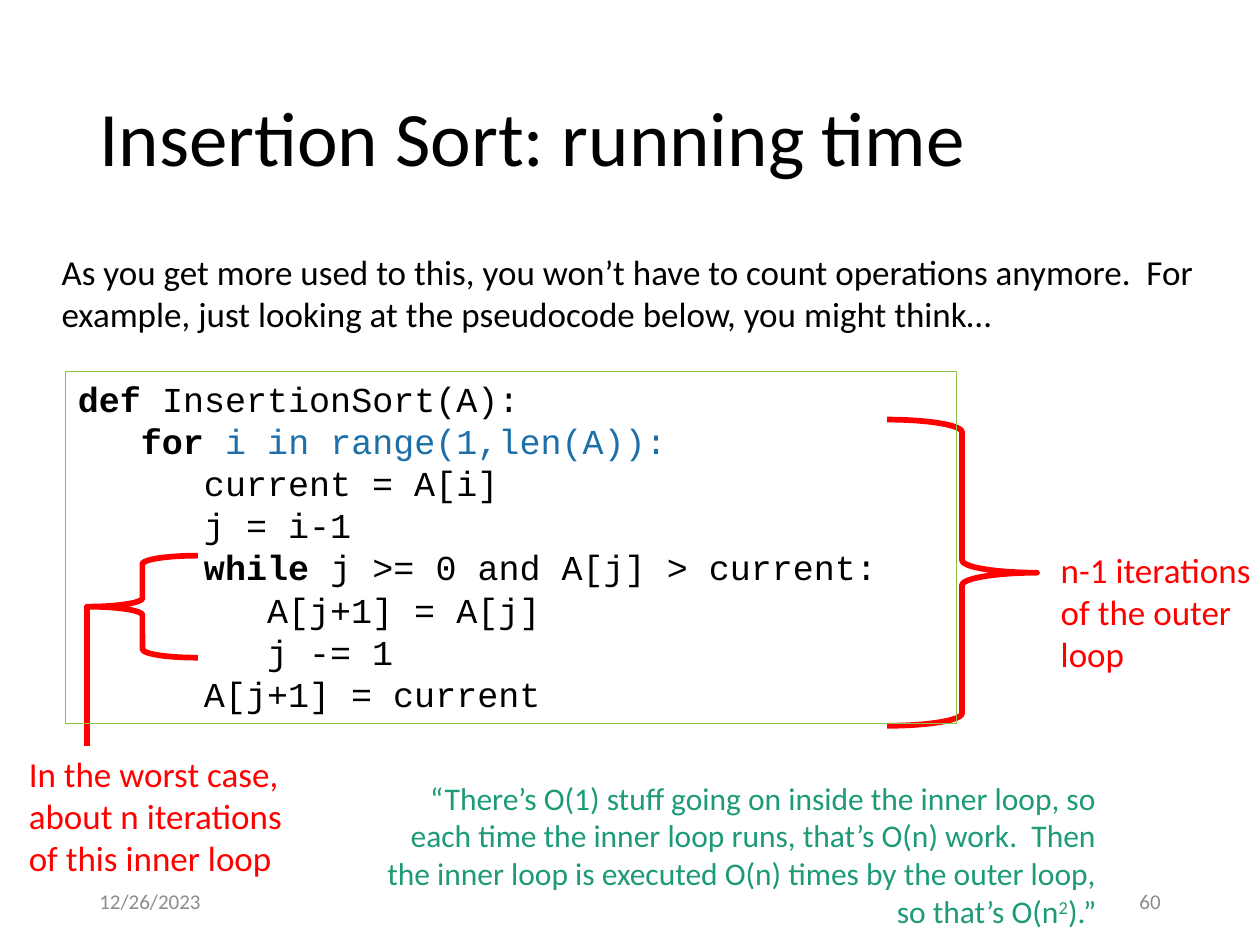
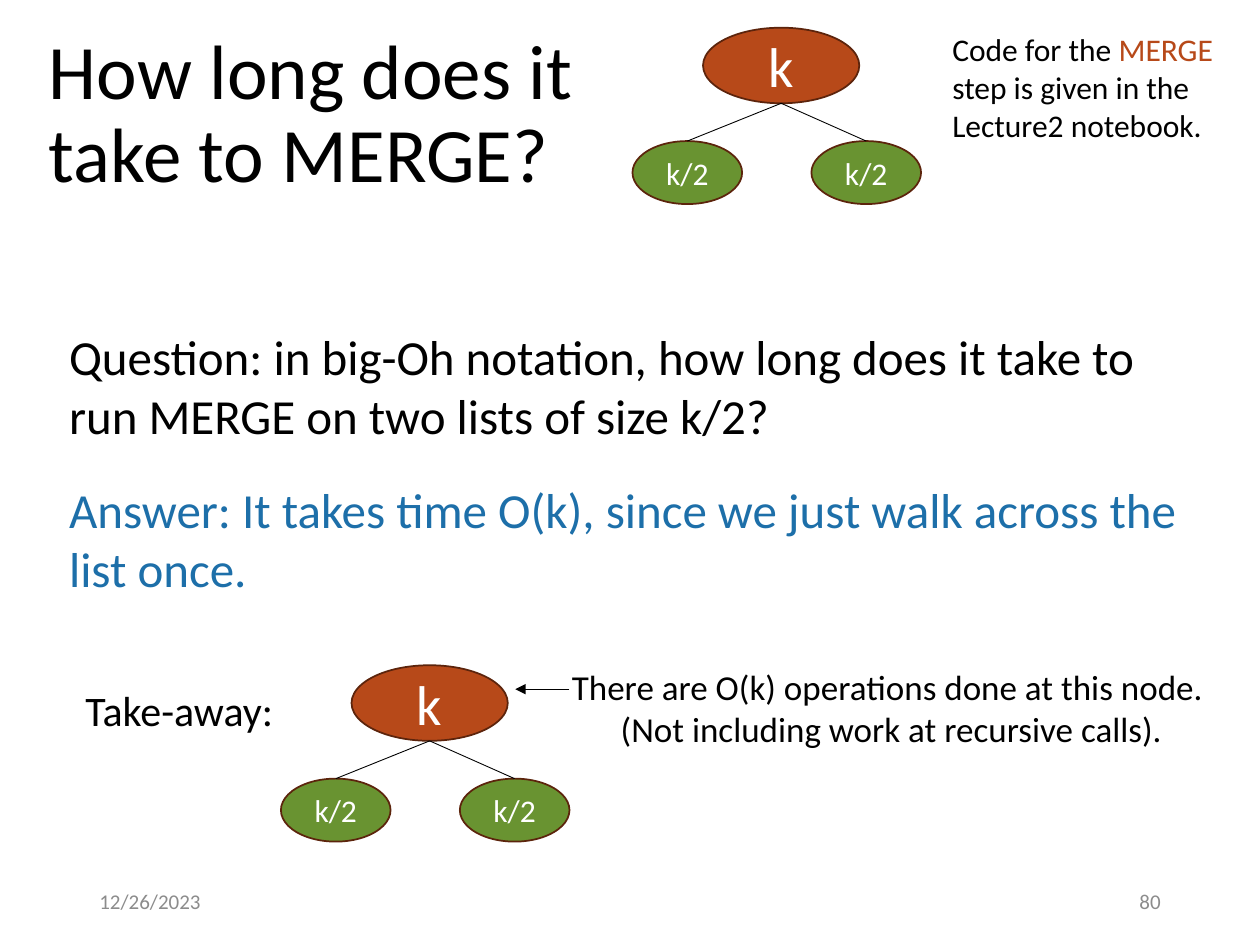
"""Build two lecture slides on the running time of insertion sort and merge."""
from dataclasses import dataclass
from typing import Any, NamedTuple, Optional, Sequence

from lxml import etree
from pptx import Presentation
from pptx.dml.color import RGBColor
from pptx.enum.shapes import MSO_CONNECTOR, MSO_SHAPE
from pptx.enum.text import MSO_ANCHOR, PP_ALIGN
from pptx.oxml.ns import qn
from pptx.util import Pt

PX = 9144
BLANK_LAYOUT = 6
TOP_SITE = 0
LEFT, CENTER, RIGHT = PP_ALIGN.LEFT, PP_ALIGN.CENTER, PP_ALIGN.RIGHT
TOP, MIDDLE = MSO_ANCHOR.TOP, MSO_ANCHOR.MIDDLE
RECTANGLE, ELLIPSE, BRACE = MSO_SHAPE.RECTANGLE, MSO_SHAPE.OVAL, MSO_SHAPE.LEFT_BRACE
STRAIGHT = MSO_CONNECTOR.STRAIGHT


@dataclass(frozen=True)
class Theme:
    body_font: str = "Calibri"
    code_font: str = "Courier New"
    black: str = "000000"
    white: str = "FFFFFF"
    red: str = "FF0000"
    blue: str = "1D6FA9"
    teal: str = "1D9A78"
    gray: str = "8C8C8C"
    rust: str = "B74919"
    green: str = "699331"
    code_border: str = "8BC145"
    node_border: str = "5C240C"
    title_size: int = 44
    root_size: int = 32
    question_size: int = 28
    lead_size: int = 24
    body_size: int = 20
    note_size: int = 18
    footer_size: int = 12
    title_spacing: float = 0.9
    brace_width: float = 3.25
    node_width: float = 1
    code_width: float = 0.75
    thin_width: float = 0.5


THEME = Theme()


class Box(NamedTuple):
    left: int
    top: int
    width: int
    height: int

    def emu(self) -> list[int]:
        return [value * PX for value in self]


class Point(NamedTuple):
    x: int
    y: int


class Span(NamedTuple):
    text: str
    color: Optional[str] = None
    bold: bool = False
    superscript: bool = False


class TextStyle(NamedTuple):
    size: int = THEME.body_size
    color: str = THEME.black
    align: Any = LEFT
    anchor: Any = TOP
    font: str = THEME.body_font
    spacing: float = 1.0


class Label(NamedTuple):
    box: Box
    spans: Sequence[Span]
    style: TextStyle = TextStyle()


class Node(NamedTuple):
    offset: Point
    width: int
    height: int
    text: str
    fill: str
    size: int


class Brace(NamedTuple):
    box: Box
    rotation: int


TITLE = TextStyle(THEME.title_size, anchor=MIDDLE, spacing=THEME.title_spacing)
CODE = TextStyle(font=THEME.code_font)
CALLOUT = TextStyle(color=THEME.red)
QUOTE = TextStyle(THEME.note_size, THEME.teal, RIGHT)
NOTE = TextStyle(THEME.note_size)
FOOTER = TextStyle(THEME.footer_size, THEME.gray, anchor=MIDDLE)

DATE = "12/26/2023"
DATE_BOX = Box(69, 695, 225, 40)
NUMBER_BOX = Box(706, 695, 225, 40)

CODE_BOX = Box(52, 295, 707, 279)
CODE_LINES = (
    (Span("def ", bold=True), Span("InsertionSort(A):")),
    (Span("   for ", bold=True), Span("i in range(1,len(A)):", THEME.blue)),
    (Span("      current = A[i]"),),
    (Span("      j = i-1"),),
    (Span("      while ", bold=True), Span("j >= 0 and A[j] > current:")),
    (Span("         A[j+1] = A[j]"),),
    (Span("         j -= 1"),),
    (Span("      A[j+1] = current"),),
)
OUTER_BRACE = Brace(Box(704, 333, 119, 243), 180)
INNER_BRACE = Brace(Box(69, 441, 88, 81), 0)
INNER_STEM = (Point(69, 481), Point(69, 592))

SORT_LABELS = (
    Label(Box(69, 40, 862, 145), [Span("Insertion Sort: running time")], TITLE),
    Label(Box(832, 430, 198, 111), [Span("n-1 iterations of the outer loop")], CALLOUT),
    Label(Box(13, 592, 242, 111),
          [Span("In the worst case, about n iterations of this inner loop")], CALLOUT),
    Label(Box(39, 194, 935, 77),
          [Span("As you get more used to this, you won’t have to count operations "
                "anymore.  For example, just looking at the pseudocode below, "
                "you might think…")]),
    Label(Box(296, 613, 584, 131),
          [Span("“There’s O(1) stuff going on inside the inner loop, so each time "
                "the inner loop runs, that’s O(n) work.  Then the inner loop is "
                "executed O(n) times by the outer loop, so that’s O(n"),
           Span("2", superscript=True), Span(").”")], QUOTE),
)

ROOT = Node(Point(0, 0), 124, 60, "k", THEME.rust, THEME.root_size)
CHILDREN = [Node(Point(x, 90), 87, 50, "k/2", THEME.green, THEME.note_size)
            for x in (-56, 86)]
TREE_ORIGINS = (Point(558, 22), Point(279, 528))
NODE_ARROW = (Point(452, 547), Point(409, 547))

MERGE_LABELS = (
    Label(Box(29, 0, 537, 184), [Span("How long does it take to MERGE?")], TITLE),
    Label(Box(746, 19, 230, 101),
          [Span("Code for the "), Span("MERGE", THEME.rust),
           Span(" step is given in the Lecture2 notebook.")], NOTE),
    Label(Box(45, 254, 925, 104),
          [Span("Question: in big-Oh notation, how long does it take to run MERGE "
                "on two lists of size k/2?")], TextStyle(THEME.question_size)),
    Label(Box(45, 376, 910, 104),
          [Span("Answer: It takes time O(k), since we just walk across the list once.")],
          TextStyle(THEME.question_size, THEME.blue)),
    Label(Box(439, 523, 537, 77),
          [Span("There are O(k) operations done at this node.  "
                "(Not including work at recursive calls).")], TextStyle(align=CENTER)),
    Label(Box(58, 538, 334, 50), [Span("Take-away:")], TextStyle(THEME.lead_size)),
)


def write_text(shape: Any, lines: Sequence[Sequence[Span]], style: TextStyle) -> None:
    """Fill a shape with lines of spans in one style."""
    frame = shape.text_frame
    frame.text = "\n".join(spans[0].text for spans in lines)
    frame.word_wrap = True
    frame.vertical_anchor = style.anchor
    for paragraph, spans in zip(frame.paragraphs, lines):
        paragraph.alignment = style.align
        paragraph.line_spacing = style.spacing
        for span in spans[1:]:
            paragraph.add_run().text = span.text
        for run, span in zip(paragraph.runs, spans):
            run.font.name = style.font
            run.font.size = Pt(style.size)
            run.font.bold = span.bold
            run.font.color.rgb = RGBColor.from_string(span.color or style.color)
            if span.superscript:
                run.font._element.set("baseline", "30000")


def add_label(slide: Any, label: Label) -> None:
    """Add a wrapped text box."""
    shape = slide.shapes.add_textbox(*label.box.emu())
    write_text(shape, [label.spans], label.style)


def add_outline(shapes: Any, kind: Any, box: Box, color: str, width: float,
                fill: Optional[str] = None) -> Any:
    """Add a preset shape with a coloured line and an optional fill."""
    shape = shapes.add_shape(kind, *box.emu())
    shape.shadow.inherit = False
    shape.line.color.rgb = RGBColor.from_string(color)
    shape.line.width = Pt(width)
    if fill:
        shape.fill.solid()
        shape.fill.fore_color.rgb = RGBColor.from_string(fill)
    else:
        shape.fill.background()
    return shape


def add_line(shapes: Any, start: Point, end: Point, color: str, width: float,
             arrow: bool = False) -> Any:
    """Add a straight connector, with an arrowhead at its end if asked."""
    line = shapes.add_connector(STRAIGHT, *(value * PX for value in (*start, *end)))
    line.line.color.rgb = RGBColor.from_string(color)
    line.line.width = Pt(width)
    properties = line._element.spPr
    if arrow:
        etree.SubElement(properties.find(qn("a:ln")), qn("a:tailEnd"), type="triangle")
    etree.SubElement(properties, qn("a:effectLst"))
    return line


def add_brace(slide: Any, brace: Brace) -> None:
    """Add a red brace around a loop."""
    shape = add_outline(slide.shapes, BRACE, brace.box, THEME.red, THEME.brace_width)
    shape.rotation = brace.rotation


def add_node(shapes: Any, origin: Point, node: Node) -> Any:
    """Add one ellipse of a recursion tree."""
    box = Box(origin.x + node.offset.x, origin.y + node.offset.y, node.width, node.height)
    shape = add_outline(shapes, ELLIPSE, box, THEME.node_border, THEME.node_width, node.fill)
    write_text(shape, [[Span(node.text)]], TextStyle(node.size, THEME.white, CENTER, MIDDLE))
    return shape


def add_tree(slide: Any, origin: Point) -> None:
    """Add a grouped root with two halves below it."""
    shapes = slide.shapes.add_group_shape().shapes
    add_node(shapes, origin, ROOT)
    root_bottom = Point(origin.x + ROOT.width // 2, origin.y + ROOT.height)
    for child in CHILDREN:
        shape = add_node(shapes, origin, child)
        child_top = Point(origin.x + child.offset.x + child.width // 2,
                          origin.y + child.offset.y)
        line = add_line(shapes, child_top, root_bottom, THEME.black, THEME.thin_width)
        line.begin_connect(shape, TOP_SITE)


def add_slide(presentation: Any, number: int, labels: Sequence[Label]) -> Any:
    """Add a slide with its labels, date and number."""
    slide = presentation.slides.add_slide(presentation.slide_layouts[BLANK_LAYOUT])
    footers = (Label(DATE_BOX, [Span(DATE)], FOOTER),
               Label(NUMBER_BOX, [Span(str(number))], FOOTER._replace(align=RIGHT)))
    for label in (*labels, *footers):
        add_label(slide, label)
    return slide


def build_sort_slide(presentation: Any) -> None:
    """Build the insertion sort slide."""
    slide = add_slide(presentation, 60, SORT_LABELS)
    add_brace(slide, OUTER_BRACE)
    add_line(slide.shapes, *INNER_STEM, THEME.red, THEME.brace_width)
    code = add_outline(slide.shapes, RECTANGLE, CODE_BOX, THEME.code_border, THEME.code_width)
    write_text(code, CODE_LINES, CODE)
    add_brace(slide, INNER_BRACE)


def build_merge_slide(presentation: Any) -> None:
    """Build the merge cost slide."""
    slide = add_slide(presentation, 80, MERGE_LABELS)
    for origin in TREE_ORIGINS:
        add_tree(slide, origin)
    add_line(slide.shapes, *NODE_ARROW, THEME.black, THEME.thin_width, arrow=True)


def main() -> None:
    """Build and save the presentation."""
    presentation = Presentation()
    presentation.slide_width = 1000 * PX
    presentation.slide_height = 750 * PX
    build_sort_slide(presentation)
    build_merge_slide(presentation)
    presentation.save("out.pptx")


if __name__ == "__main__":
    main()
